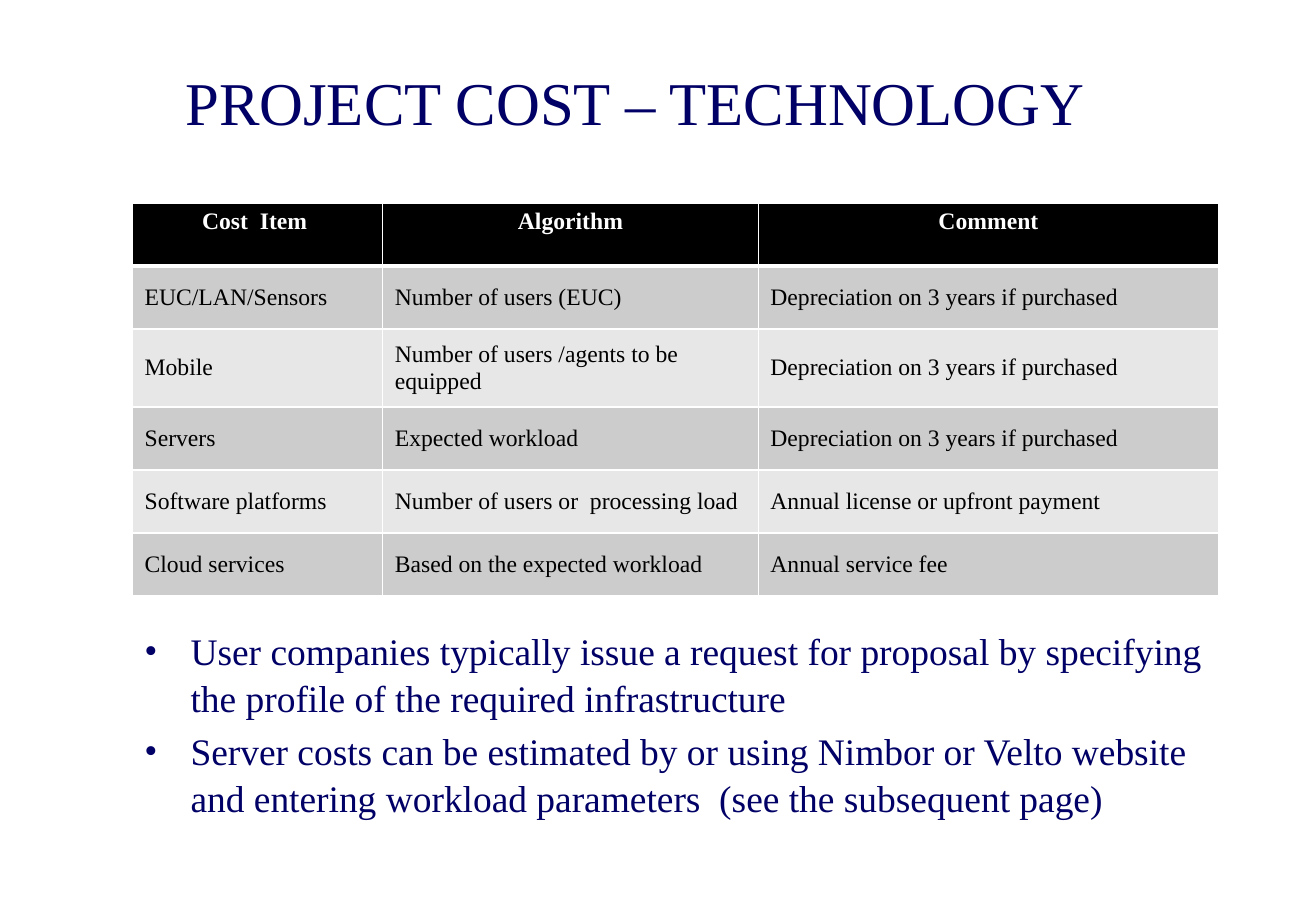
from lxml import etree
from pptx import Presentation, util as u
from pptx.dml.color import RGBColor
from pptx.enum import text
from pptx.oxml.ns import qn

FONT = "Times New Roman"
NAVY, BLACK, WHITE = "000066", "000000", "FFFFFF"
BANDS = ["CCCCCC", "E7E7E7"]
WIDTH, HEIGHT = 10.83, 7.5
LEFT, CONTENT_WIDTH = 1.09, 8.94
COLUMN_WIDTHS = [2.06, 3.09, 3.79]
ROW_HEIGHT, TALL_ROW_HEIGHT, TALL_ROW = 0.52, 0.64, 2

TITLE = "PROJECT COST – TECHNOLOGY "
COSTS = [
    ["Cost  Item ", "Algorithm", "Comment"],
    ["EUC/LAN/Sensors", "Number of users (EUC)", "Depreciation on 3 years if purchased"],
    ["Mobile", "Number of users /agents to be equipped", "Depreciation on 3 years if purchased"],
    ["Servers", "Expected workload", "Depreciation on 3 years if purchased"],
    ["Software platforms", "Number of users or  processing load", "Annual license or upfront payment"],
    ["Cloud services", "Based on the expected workload", "Annual service fee"],
]
NOTES = [
    "User companies typically issue a request for proposal by specifying the profile "
    "of the required infrastructure",
    "Server costs can be estimated by or using Nimbor or Velto website and entering "
    "workload parameters  (see the subsequent page)",
]


def color(value):
    """Turn a hex string into a colour."""
    return RGBColor.from_string(value)


def style(paragraph, size, value, bold=False):
    """Set the font of a whole paragraph."""
    font = paragraph.font
    font.name, font.size, font.bold = FONT, u.Pt(size), bold
    font.color.rgb = color(value)


def add_frame(slide, box):
    """Add a wrapping, vertically centred text box and return its frame."""
    frame = slide.shapes.add_textbox(*map(u.Inches, box)).text_frame
    frame.word_wrap = True
    frame.vertical_anchor = text.MSO_ANCHOR.MIDDLE
    return frame


def add_title(slide, box):
    """Place the centred slide title in the box."""
    heading = add_frame(slide, box).paragraphs[0]
    heading.text = TITLE
    heading.alignment = text.PP_ALIGN.CENTER
    style(heading, 36, NAVY)


def add_borders(cell, bottom_width):
    """Draw white borders around a cell."""
    properties = cell._tc.get_or_add_tcPr()
    for position, side in enumerate(["lnL", "lnR", "lnT", "lnB"]):
        width = bottom_width if side == "lnB" else 1
        line = etree.Element(qn(f"a:{side}"), w=str(u.Pt(width)))
        fill = etree.SubElement(line, qn("a:solidFill"))
        etree.SubElement(fill, qn("a:srgbClr"), val=WHITE)
        properties.insert(position, line)


def add_cost_table(slide, box):
    """Place the banded cost table in the box."""
    table = slide.shapes.add_table(len(COSTS), len(COLUMN_WIDTHS), *map(u.Inches, box)).table
    for column, width in zip(table.columns, COLUMN_WIDTHS):
        column.width = u.Inches(width)
    for r, entries in enumerate(COSTS):
        header = r == 0
        table.rows[r].height = u.Inches(TALL_ROW_HEIGHT if r == TALL_ROW else ROW_HEIGHT)
        for c, entry in enumerate(entries):
            cell = table.cell(r, c)
            cell.text = entry
            cell.fill.solid()
            cell.fill.fore_color.rgb = color(BLACK if header else BANDS[(r - 1) % 2])
            cell.vertical_anchor = text.MSO_ANCHOR.TOP if header else text.MSO_ANCHOR.MIDDLE
            paragraph = cell.text_frame.paragraphs[0]
            paragraph.alignment = text.PP_ALIGN.CENTER if header else text.PP_ALIGN.LEFT
            style(paragraph, 14, WHITE if header else BLACK, header)
            add_borders(cell, 3 if header else 1)


def add_notes(slide, box):
    """Place the bulleted remarks in the box."""
    frame = add_frame(slide, box)
    for i, note in enumerate(NOTES):
        remark = frame.add_paragraph() if i else frame.paragraphs[0]
        remark.text = note
        remark.line_spacing = 1.03
        if i:
            remark.space_before = u.Pt(4.5)
        properties = remark._p.get_or_add_pPr()
        indent = u.Inches(0.38)
        properties.set("marL", str(indent))
        properties.set("indent", str(-indent))
        etree.SubElement(properties, qn("a:buFont"), typeface=FONT)
        etree.SubElement(properties, qn("a:buChar"), char="•")
        style(remark, 22.2, NAVY)


def main():
    """Build and save the technology cost slide."""
    deck = Presentation()
    deck.slide_width, deck.slide_height = u.Inches(WIDTH), u.Inches(HEIGHT)
    slide = deck.slides.add_slide(deck.slide_layouts[6])
    table_height = ROW_HEIGHT * (len(COSTS) - 1) + TALL_ROW_HEIGHT
    add_title(slide, (0.81, 0.33, CONTENT_WIDTH, 1))
    add_cost_table(slide, (LEFT, 1.67, CONTENT_WIDTH, table_height))
    add_notes(slide, (LEFT, 5.01, CONTENT_WIDTH, 1.89))
    deck.save("out.pptx")


if __name__ == "__main__":
    main()
